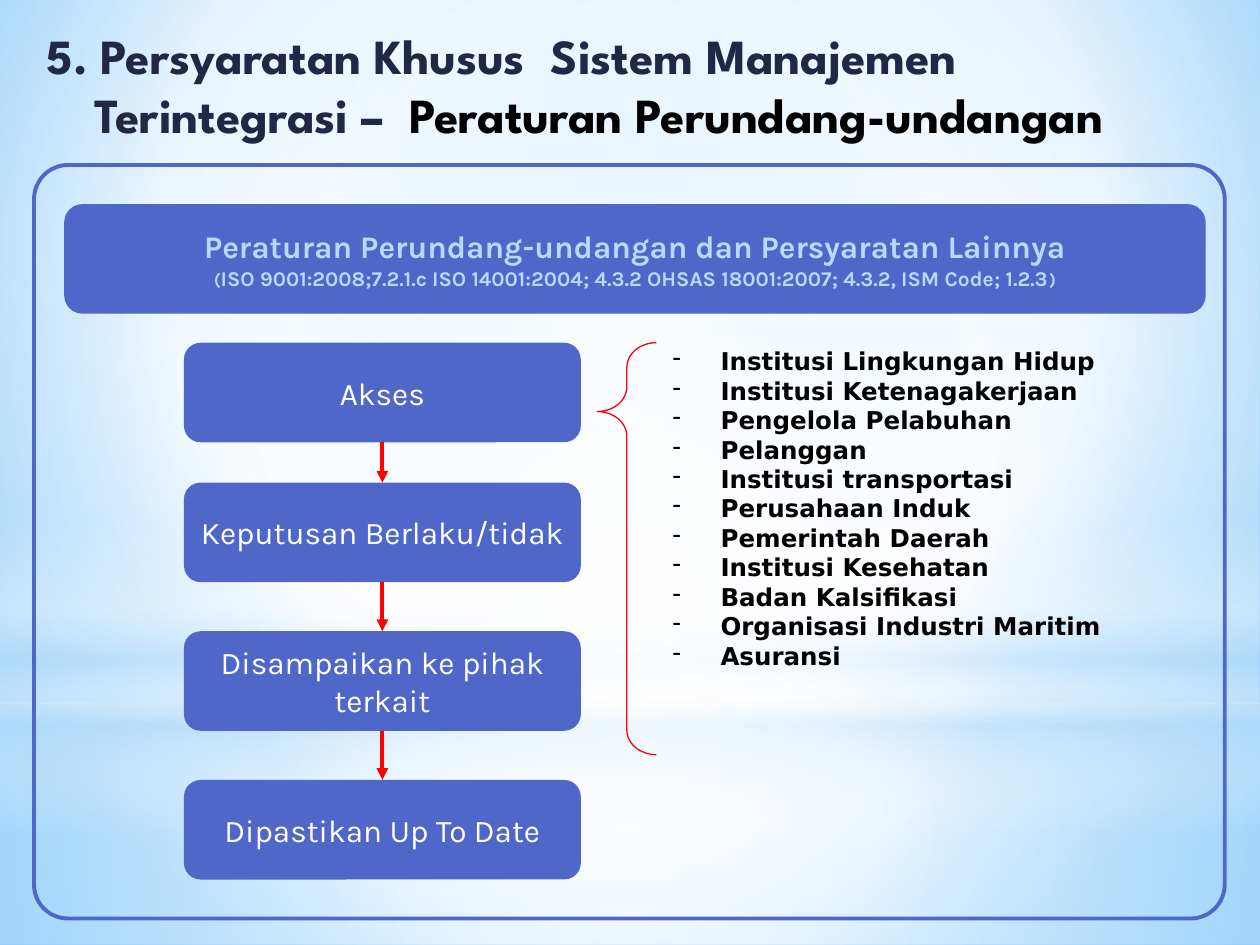
import pptx
import pptx.util
import pptx.dml.color
import pptx.enum.dml
import pptx.enum.shapes
import pptx.enum.text
import pptx.oxml
import pptx.oxml.ns
from lxml import etree

Inches, Pt = pptx.util.Inches, pptx.util.Pt
qn = pptx.oxml.ns.qn
MSO_SHAPE = pptx.enum.shapes.MSO_SHAPE
ANCHOR = pptx.enum.text.MSO_ANCHOR
ALIGN = pptx.enum.text.PP_ALIGN

COLORS = {"navy": "212745", "blue": "4E67C8", "sky": "B4DCFA", "red": "FF0000",
          "white": "FFFFFF", "black": "000000", "bg_edge": "5BB9FF", "bg_core": "9ED5FF"}

TITLE = [("5. Persyaratan Khusus  Sistem Manajemen Terintegrasi –  ", "navy"),
         ("Peraturan Perundang-undangan", "black")]
BANNER = [[("Peraturan Perundang-undangan dan Persyaratan Lainnya", 18)],
          [("(", 10),
           ("ISO 9001:2008;7.2.1.c ISO 14001:2004; 4.3.2 OHSAS 18001:2007; 4.3.2, ISM Code; 1.2.3", 12),
           (")", 10)]]
STEPS = [(2.72, ["Akses"]),
         (3.83, ["Keputusan Berlaku/tidak"]),
         (5.01, ["Disampaikan ke pihak", "terkait"]),
         (6.19, ["Dipastikan Up To Date"])]
SOURCES = ["Institusi Lingkungan Hidup", "Institusi Ketenagakerjaan", "Pengelola Pelabuhan",
           "Pelanggan", "Institusi transportasi", "Perusahaan Induk", "Pemerintah Daerah",
           "Institusi Kesehatan", "Badan Kalsifikasi", "Organisasi Industri Maritim", "Asuransi"]

# Gradient stops: position %, colour, opacity %
BG_STOPS = [(0, "bg_core", 100), (60, "white", 100), (100, "bg_edge", 100)]
CENTER = (50, 50, 50, 50)
GLOWS = [
    (MSO_SHAPE.RECTANGLE, (0, 5.58, 10, 1.92), CENTER,
     [(0, "white", 91), (37, "white", 76), (100, "sky", 79)]),
    (MSO_SHAPE.RECTANGLE, (0, 0, 10, 5.58), CENTER,
     [(0, "white", 89), (48, "white", 62), (100, "sky", 79)]),
    (MSO_SHAPE.RECTANGLE, (0, 4.12, 10, 2.5), None,
     [(0, "white", 0), (29, "white", 30), (45, "sky", 40),
      (55, "white", 26), (65, "sky", 60), (100, "white", 0)]),
    (MSO_SHAPE.OVAL, (0, 1.75, 10, 5.58), CENTER,
     [(0, "white", 100), (56, "white", 0)]),
]
HANG = Inches(0.38)


def rgb(name):
    return pptx.dml.color.RGBColor.from_string(COLORS[name])


def set_gradient(fill, parent, stops, focus):
    """Fill with a circular gradient around focus, or a vertical one if it is None."""
    fill.solid()
    solid = parent.find(qn("a:solidFill"))
    grad = etree.Element(qn("a:gradFill"), rotWithShape="1")
    gs_list = etree.SubElement(grad, qn("a:gsLst"))
    for pos, color, opacity in stops:
        gs = etree.SubElement(gs_list, qn("a:gs"), pos=str(pos * 1000))
        clr = etree.SubElement(gs, qn("a:srgbClr"), val=COLORS[color])
        if opacity < 100:
            etree.SubElement(clr, qn("a:alpha"), val=str(opacity * 1000))
    if focus:
        circle = etree.SubElement(grad, qn("a:path"), path="circle")
        sides = {k: str(v * 1000) for k, v in zip("ltrb", focus)}
        etree.SubElement(circle, qn("a:fillToRect"), **sides)
    else:
        etree.SubElement(grad, qn("a:lin"), ang="5400000", scaled="0")
    parent.replace(solid, grad)


def add_shape(s, kind, box, fill=None, line=None, width=0, adj=()):
    sp = s.shapes.add_shape(kind, *map(Inches, box))
    sp.shadow.inherit = False
    for i, value in enumerate(adj):
        sp.adjustments[i] = value
    if fill:
        sp.fill.solid()
        sp.fill.fore_color.rgb = rgb(fill)
    else:
        sp.fill.background()
    if line:
        sp.line.color.rgb = rgb(line)
        sp.line.width = Pt(width)
    else:
        sp.line.fill.background()
    return sp


def add_run(p, text, size, font, color, bold=False):
    r = p.add_run()
    r.text = text
    r.font.size = Pt(size)
    r.font.name = font
    r.font.bold = bold
    r.font.color.rgb = rgb(color)


def next_paragraph(tf, i):
    return tf.add_paragraph() if i else tf.paragraphs[0]


def set_hanging(p, bullet=None):
    pPr = p._p.get_or_add_pPr()
    pPr.set("marL", str(HANG))
    pPr.set("indent", str(-HANG))
    if bullet:
        etree.SubElement(pPr, qn("a:buChar"), char=bullet)
    else:
        etree.SubElement(pPr, qn("a:buNone"))


def add_box(s, box, paragraphs, color, bold=False):
    sp = add_shape(s, MSO_SHAPE.ROUNDED_RECTANGLE, box, fill="blue", adj=[0.167])
    tf = sp.text_frame
    tf.word_wrap = False
    tf.vertical_anchor = ANCHOR.MIDDLE
    for i, runs in enumerate(paragraphs):
        p = next_paragraph(tf, i)
        p.alignment = ALIGN.CENTER
        for text, size in runs:
            add_run(p, text, size, "Karla", color, bold)
    return sp


def add_arrow(s, upper, lower):
    c = s.shapes.add_connector(pptx.enum.shapes.MSO_CONNECTOR.STRAIGHT, 0, 0, 0, 0)
    c.begin_connect(upper, 2)
    c.end_connect(lower, 0)
    c.line.color.rgb = rgb("red")
    c.line.width = Pt(2.25)
    etree.SubElement(c.line._get_or_add_ln(), qn("a:tailEnd"), type="triangle")
    etree.SubElement(c._element.spPr, qn("a:effectLst"))


def add_title(s):
    title = s.shapes.title
    title.left, title.top, title.width, title.height = map(Inches, (0.27, 0.15, 9.45, 1.05))
    tf = title.text_frame
    tf.word_wrap = True
    tf.auto_size = pptx.enum.text.MSO_AUTO_SIZE.NONE
    tf.vertical_anchor = ANCHOR.TOP
    p = tf.paragraphs[0]
    p.alignment = ALIGN.LEFT
    set_hanging(p)
    for text, color in TITLE:
        add_run(p, text, 28, "League Spartan", color, True)


def add_sources(s):
    tf = s.shapes.add_textbox(*map(Inches, (5.24, 2.7, 3.62, 3.16))).text_frame
    tf.word_wrap = False
    for i, name in enumerate(SOURCES):
        p = next_paragraph(tf, i)
        set_hanging(p, "-")
        add_run(p, name, 14, "DejaVu Sans", "black", True)


def main():
    prs = pptx.Presentation()
    prs.slide_width, prs.slide_height = Inches(10), Inches(7.5)
    s = prs.slides.add_slide(prs.slide_layouts[5])

    bg_fill = s.background.fill
    bg_fill.solid()
    set_gradient(bg_fill, next(s._element.iter(qn("p:bgPr"))), BG_STOPS, (20, 10, 20, 60))
    for kind, box, focus, stops in GLOWS:
        sp = add_shape(s, kind, box)
        set_gradient(sp.fill, sp._element.spPr, stops, focus)

    add_box(s, (0.51, 1.62, 9.06, 0.87), BANNER, "sky", True)
    steps = [add_box(s, (1.46, top, 3.15, 0.79), [[(text, 18)] for text in lines], "white")
             for top, lines in STEPS]
    for upper, lower in zip(steps, steps[1:]):
        add_arrow(s, upper, lower)

    add_shape(s, MSO_SHAPE.LEFT_BRACE, (4.74, 2.72, 0.47, 3.27),
              line="red", width=0.75, adj=[0.417, 0.167])
    add_sources(s)
    add_shape(s, MSO_SHAPE.ROUNDED_RECTANGLE, (0.27, 1.31, 9.45, 5.98),
              line="blue", width=2.25, adj=[0.045])
    add_title(s)
    # The title comes first in the tree; lift it above the background glows
    s.shapes._spTree.append(s.shapes.title._element)
    prs.save("out.pptx")


if __name__ == "__main__":
    main()
